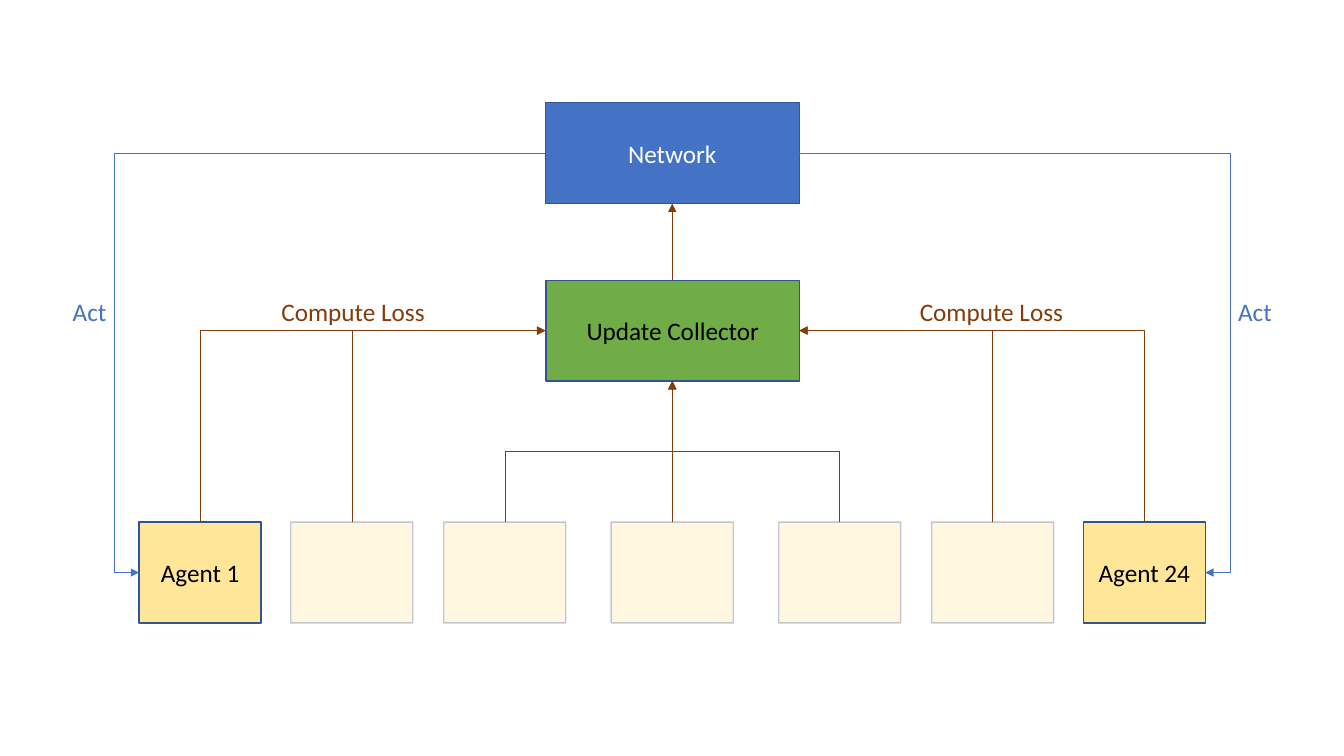
from pptx import Presentation
from pptx.dml.color import RGBColor
from pptx.enum.shapes import MSO_CONNECTOR, MSO_SHAPE
from pptx.enum.text import MSO_ANCHOR, PP_ALIGN
from pptx.oxml.ns import qn
from pptx.util import Pt
from lxml import etree

RECT = MSO_SHAPE.RECTANGLE
LINE, ELBOW = MSO_CONNECTOR.STRAIGHT, MSO_CONNECTOR.ELBOW
MIDDLE, CENTER = MSO_ANCHOR.MIDDLE, PP_ALIGN.CENTER

HUES = {"blue": "4472C4", "edge": "325491", "green": "70AD47",
        "sand": "FFE699", "brown": "843C0B", "white": "FFFFFF",
        "black": "000000"}
FONT = "Calibri"

MID = 480.2                      # axis of symmetry
TALL = 72                        # height of every box
WIDE, SLIM = 181.4, 87.2         # main boxes, agents
NET, HUB, ROW = 73.4, 200.2, 373  # tops of the three levels
STEPS = (-337.2, -228.9, -119.6, 0, 119.6, 228.9, 337.2)

deck = Presentation()
deck.slide_width, deck.slide_height = Pt(960), Pt(540)
slide = deck.slides.add_slide(deck.slide_layouts[6])
shapes = slide.shapes


def write(shape, text, hue):
    frame = shape.text_frame
    frame.text = text
    para = frame.paragraphs[0]
    para.alignment = CENTER
    font = para.runs[0].font
    font.name, font.size = FONT, Pt(18)
    font.color.rgb = RGBColor.from_string(HUES[hue])


def wire(kind, start, end, hue):
    link = shapes.add_connector(kind, *[Pt(n) for n in (*start, *end)])
    link.line.width = Pt(0.5)
    link.line.color.rgb = RGBColor.from_string(HUES[hue])
    tail = etree.SubElement(link.line._get_or_add_ln(), qn("a:tailEnd"))
    tail.set("type", "triangle")
    etree.SubElement(link._element.spPr, qn("a:effectLst"))
    return link


# Boxes: network, collector and the row of agents
names = {STEPS[0]: "Agent 1", STEPS[-1]: "Agent 24"}
boxes = [(MID, NET, WIDE, "blue", "Network", "white"),
         (MID + 0.4, HUB, WIDE, "green", "Update Collector", "black")]
boxes += [(MID + step, ROW, SLIM, "sand", names.get(step), "black")
          for step in STEPS]
for x, top, width, hue, text, ink in boxes:
    box = shapes.add_shape(RECT, Pt(x - width / 2), Pt(top), Pt(width), Pt(TALL))
    box.shadow.inherit = False
    box.fill.solid()
    box.fill.fore_color.rgb = RGBColor.from_string(HUES[hue])
    box.line.color.rgb = RGBColor.from_string(HUES["edge"])
    box.line.width = Pt(1)
    if text:
        box.text_frame.vertical_anchor = MIDDLE
        write(box, text, ink)
    else:
        # Unnamed agents are faded
        for color in box._element.spPr.iter(qn("a:srgbClr")):
            etree.SubElement(color, qn("a:alpha")).set("val", "30000")

# Straight arrows up the axis
wire(LINE, (MID, ROW), (MID, HUB + TALL), "brown")
wire(LINE, (MID, HUB), (MID, NET + TALL), "brown")

# Loss arrows: up from each agent, then in to the collector
for step in STEPS:
    if not step:
        continue
    side = 1 if step < 0 else -1
    inner = abs(step) < WIDE
    goal = MID if inner else MID - side * WIDE / 2
    level = HUB + TALL if inner else HUB + TALL / 2
    # Frame of the quarter-turned connector
    x, y = (MID + step + goal) / 2, (ROW + level) / 2
    half, rise = abs(goal - MID - step) / 2, side * (ROW - level) / 2
    link = wire(ELBOW, (x + rise, y + half), (x - rise, y - half), "brown")
    link._element.spPr.xfrm.set("rot", str((180 - 90 * side) * 60000))
    if not inner:
        link._element.spPr.find(qn("a:prstGeom")).set("prst", "bentConnector2")

# Act arrows and labels on both sides
for side in (-1, 1):
    link = wire(ELBOW, (MID + side * WIDE / 2, NET + TALL / 2),
                (MID + side * (STEPS[-1] + SLIM / 2), ROW + TALL / 2), "blue")
    geom = link._element.spPr.find(qn("a:prstGeom"))
    guide = etree.SubElement(geom.find(qn("a:avLst")), qn("a:gd"))
    guide.set("name", "adj1")
    guide.set("fmla", "val 106200")
    for text, gap, width, hue in (("Act", 416.2, 39, "blue"),
                                  ("Compute Loss", 228, 118, "brown")):
        note = shapes.add_textbox(Pt(MID + side * gap - width / 2), Pt(208.2),
                                  Pt(width), Pt(29))
        note.text_frame.word_wrap = False
        write(note, text, hue)

deck.save("out.pptx")
